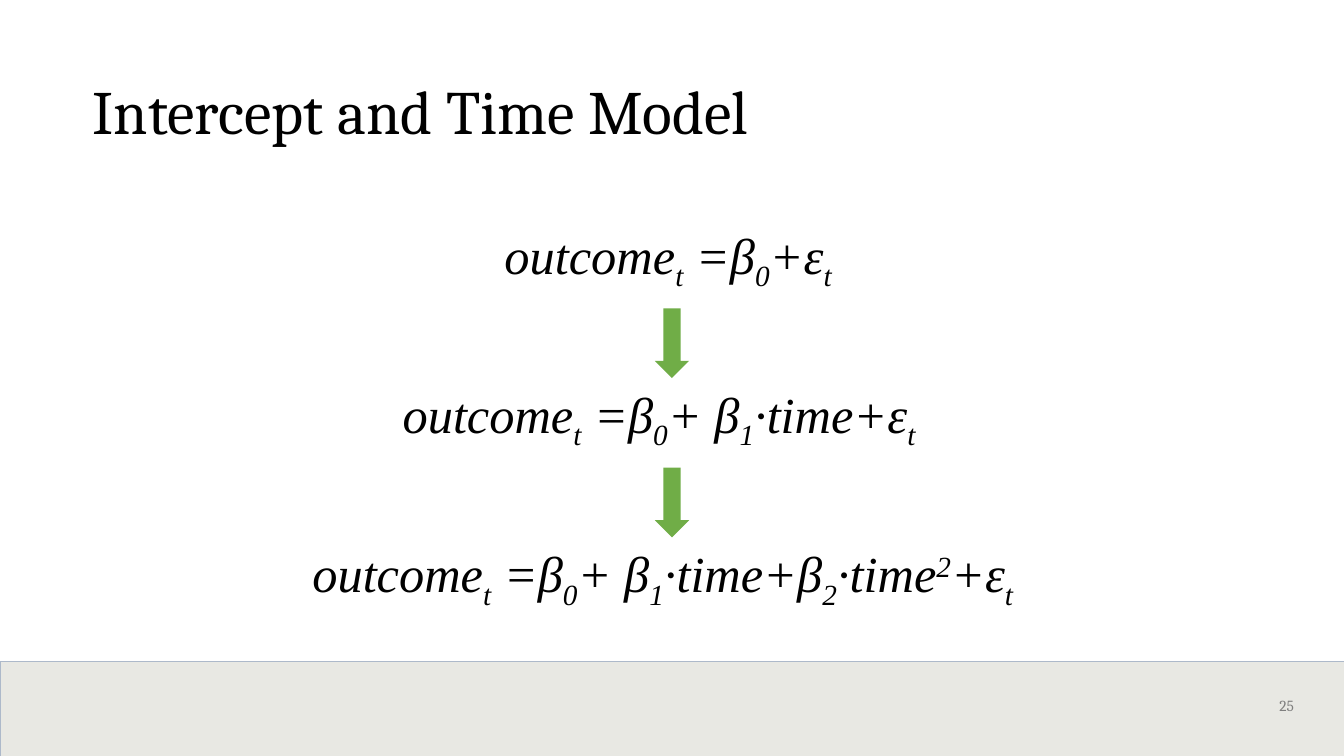
from pptx import Presentation
from pptx.dml.color import RGBColor
from pptx.enum.shapes import MSO_SHAPE
from pptx.enum.text import MSO_ANCHOR, MSO_AUTO_SIZE, PP_ALIGN
from pptx.util import Inches, Pt
from lxml.etree import SubElement
from pptx.oxml.ns import qn

TITLE = "Intercept and Time Model"
PAGE_NUMBER = "25"
SUB, SUPER = -25000, 30000  # baseline shift in thousandths of a percent

OUTCOME = [("outcome", 0), ("t", SUB), (" =β", 0), ("0", SUB)]
LINEAR = [("+ β", 0), ("1", SUB)]
QUADRATIC = [("·time+β", 0), ("2", SUB), ("·time", 0), ("2", SUPER)]
# (box width, pieces of the equation)
EQUATIONS = [
    (3.52, OUTCOME + [("+ε", 0), ("t", SUB)]),
    (5.54, OUTCOME + LINEAR + [("·time+ε", 0), ("t", SUB)]),
    (7.33, OUTCOME + LINEAR + QUADRATIC + [("+ε", 0), ("t", SUB)]),
]

BLACK = RGBColor(0x00, 0x00, 0x00)
GRAY = RGBColor(0x7F, 0x7F, 0x7F)
GREEN = RGBColor(0x70, 0xAD, 0x47)
BAND_FILL = RGBColor(0xD3, 0xD3, 0xC9)
BAND_LINE = RGBColor(0xAD, 0xB9, 0xCA)

TITLE_FONT = {"name": "Cambria", "size": Pt(44)}
EQUATION_FONT = {"name": "Times New Roman", "size": Pt(36), "italic": True}
NUMBER_FONT = {"name": "Cambria", "size": Pt(11)}

PAGE_WIDTH, PAGE_HEIGHT = 13.33, 7.5
FIRST_TOP, STEP, EQUATION_HEIGHT = 2.17, 1.58, 0.71
ARROW_OFFSET, ARROW_WIDTH, ARROW_HEIGHT = 0.89, 0.34, 0.69
BAND_TOP = 6.56


def add_span(para, text, font, color, baseline=0):
    span = para.add_run()
    span.text = text
    for name, value in font.items():
        setattr(span.font, name, value)
    span.font.color.rgb = color
    if baseline:
        span.font._element.set("baseline", str(baseline))


def add_filled_shape(page, kind, box, color):
    shape = page.shapes.add_shape(kind, *map(Inches, box))
    shape.shadow.inherit = False
    shape.fill.solid()
    shape.fill.fore_color.rgb = color
    shape.line.fill.background()
    return shape


def add_band(page):
    box = (0, BAND_TOP, PAGE_WIDTH, PAGE_HEIGHT - BAND_TOP)
    band = add_filled_shape(page, MSO_SHAPE.RECTANGLE, box, BAND_FILL)
    color = band._element.spPr.find(qn("a:solidFill")).find(qn("a:srgbClr"))
    SubElement(color, qn("a:alpha")).set("val", "50000")
    band.line.color.rgb = BAND_LINE
    band.line.width = Pt(0.5)


def add_page_number(page):
    box = page.shapes.add_textbox(*map(Inches, (12.39, 6.86, 0.7, 0.37)))
    box.text_frame.word_wrap = True
    para = box.text_frame.paragraphs[0]
    para._p.get_or_add_pPr().set("marL", str(Inches(0.2)))
    add_span(para, PAGE_NUMBER, NUMBER_FONT, GRAY)


def fill_title(page):
    title = page.shapes.title
    title.left, title.top, title.width, title.height = map(Inches, (0.92, 0.4, 11.5, 1.12))
    frame = title.text_frame
    frame.auto_size = MSO_AUTO_SIZE.NONE
    frame.vertical_anchor = MSO_ANCHOR.BOTTOM
    frame.margin_left = 0
    para = frame.paragraphs[0]
    para.alignment = PP_ALIGN.LEFT
    para.line_spacing = 0.9
    add_span(para, TITLE, TITLE_FONT, BLACK)


def add_equation(page, top, width, pieces):
    left = (PAGE_WIDTH - width) / 2
    box = page.shapes.add_textbox(*map(Inches, (left, top, width, EQUATION_HEIGHT)))
    box.text_frame.word_wrap = False
    box.text_frame.auto_size = MSO_AUTO_SIZE.SHAPE_TO_FIT_TEXT
    for text, baseline in pieces:
        add_span(box.text_frame.paragraphs[0], text, EQUATION_FONT, BLACK, baseline)


def main():
    deck = Presentation()
    deck.slide_width, deck.slide_height = Inches(PAGE_WIDTH), Inches(PAGE_HEIGHT)
    page = deck.slides.add_slide(deck.slide_layouts[5])
    add_band(page)
    add_page_number(page)
    fill_title(page)
    for row, (width, pieces) in enumerate(EQUATIONS):
        top = FIRST_TOP + row * STEP
        add_equation(page, top, width, pieces)
        if row < len(EQUATIONS) - 1:
            arrow = ((PAGE_WIDTH - ARROW_WIDTH) / 2, top + ARROW_OFFSET, ARROW_WIDTH, ARROW_HEIGHT)
            add_filled_shape(page, MSO_SHAPE.DOWN_ARROW, arrow, GREEN)
    deck.save("out.pptx")


if __name__ == "__main__":
    main()
